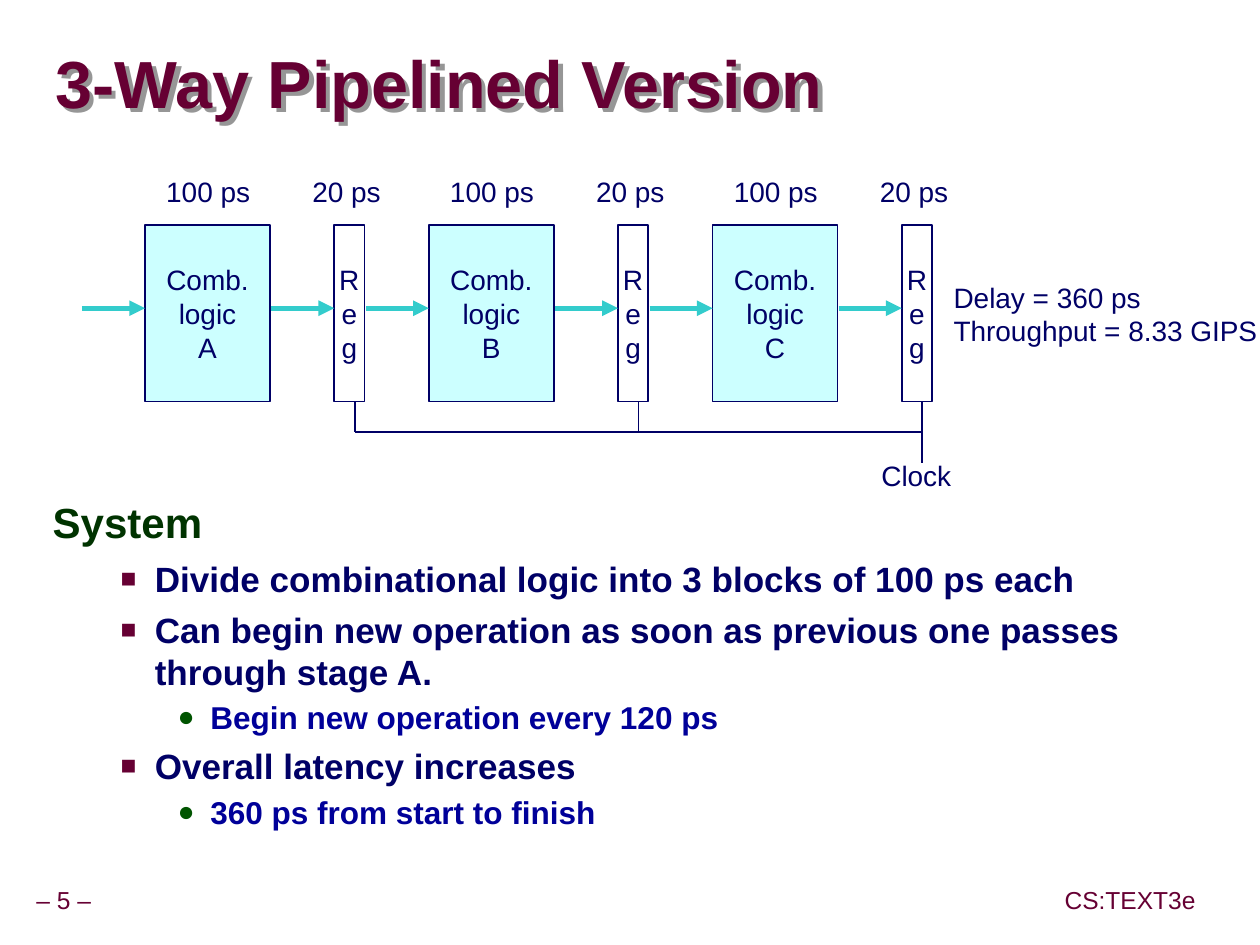
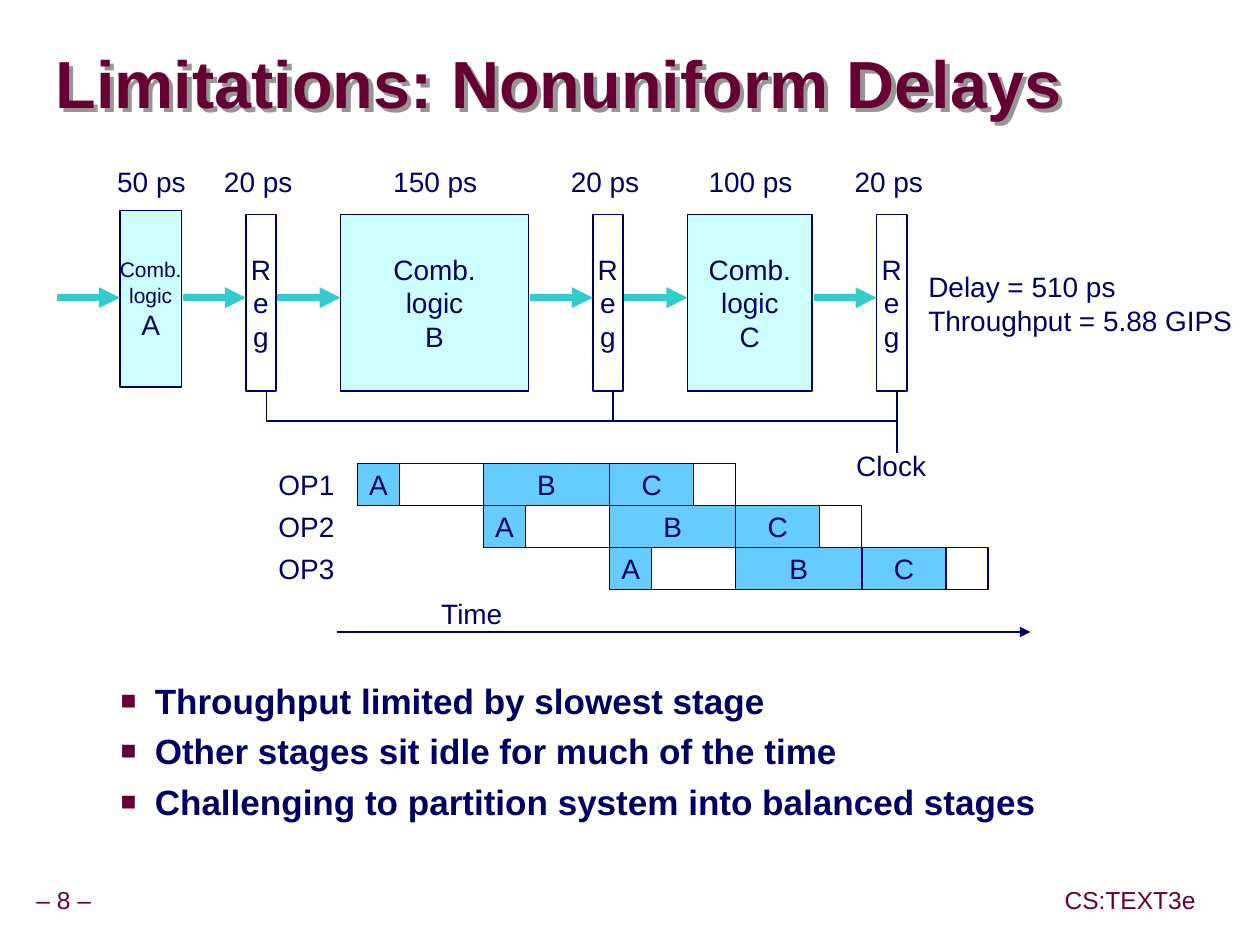
"""Build two slides on pipelined logic: a three-way pipeline and its nonuniform variant."""
from lxml import etree
from pptx import Presentation
from pptx.dml.color import RGBColor
from pptx.enum.shapes import MSO_CONNECTOR as Connector, MSO_SHAPE as Shape
from pptx.enum.text import MSO_ANCHOR as Anchor, PP_ALIGN as Align
from pptx.oxml import parse_xml
from pptx.oxml.ns import nsdecls, qn
from pptx.util import Pt

FONT = "Arial"
COLORS = {
    "maroon": "660033", "navy": "000066", "blue": "000099", "forest": "003300",
    "green": "005400", "teal": "33CCCC", "cyan": "CCFFFF", "sky": "66CCFF",
    "white": "FFFFFF", "gray": "969696",
}
LEVELS = [
    {"size": 24, "color": "forest", "spacing": 0.95, "before": 12, "margin": 30.24, "hang": 30.24},
    {"size": 20, "color": "navy", "spacing": 1.0, "before": 5, "margin": 58.32, "hang": 19.44,
     "bullet": ("■", "maroon", 75)},
    {"size": 18, "color": "blue", "spacing": 1.07, "before": 1.8, "margin": 90, "hang": 18.72,
     "bullet": ("●", "green", 90)},
]
REGISTER_WIDTH, GAP, BOX_HEIGHT = 18, 36, 100.8
LABEL_WIDTH = 90
POINTS_PER_PS = 0.72
SLIDES = [
    {"title": "3-Way Pipelined Version", "number": 5, "left": 82.8, "top": 128.4, "arrow": 3,
     "delays": [100, 100, 100], "result": "Delay = 360 ps\nThroughput = 8.33 GIPS",
     "body_top": 282.2,
     "body": [(0, "System"),
              (1, "Divide combinational logic into 3 blocks of 100 ps each"),
              (1, "Can begin new operation as soon as previous one passes through stage A."),
              (2, "Begin new operation every 120 ps"),
              (1, "Overall latency increases"),
              (2, "360 ps from start to finish")]},
    {"title": "Limitations: Nonuniform Delays", "number": 8, "left": 68.4, "top": 122.4, "arrow": 4,
     "delays": [50, 150, 100], "result": "Delay = 510 ps\nThroughput = 5.88 GIPS",
     "body_top": 384,
     "body": [(1, "Throughput limited by slowest stage"),
              (1, "Other stages sit idle for much of the time"),
              (1, "Challenging to partition system into balanced stages")]},
]


def add_box(slide, left, top, width, height, text="", fill=None, line=None,
            size=16, color="navy", align=Align.CENTER):
    """Add a text box, or a rectangle when a fill or line is given."""
    place = Pt(left), Pt(top), Pt(width), Pt(height)
    if fill or line:
        box = slide.shapes.add_shape(Shape.RECTANGLE, *place)
        box.shadow.inherit = False
        box.line.color.rgb = RGBColor.from_string(COLORS["navy"])
        box.line.width = Pt(line)
    else:
        box = slide.shapes.add_textbox(*place)
    if fill:
        box.fill.solid()
        box.fill.fore_color.rgb = RGBColor.from_string(COLORS[fill])
    else:
        box.fill.background()
    frame = box.text_frame
    frame.text = text
    frame.word_wrap = False
    frame.vertical_anchor = Anchor.MIDDLE
    for paragraph in frame.paragraphs:
        paragraph.alignment = align
        for run in paragraph.runs:
            run.font.name = FONT
            run.font.size = Pt(size)
            run.font.color.rgb = RGBColor.from_string(COLORS[color])
    return box


def add_line(slide, start_x, start_y, end_x, end_y, color="navy", width=1, arrow=False):
    """Add a straight line, with an arrowhead at its end if asked."""
    connector = slide.shapes.add_connector(
        Connector.STRAIGHT, Pt(start_x), Pt(start_y), Pt(end_x), Pt(end_y))
    connector.line.color.rgb = RGBColor.from_string(COLORS[color])
    connector.line.width = Pt(width)
    if arrow:
        etree.SubElement(connector.line._get_or_add_ln(), qn("a:tailEnd"), type="triangle")
    etree.SubElement(connector._element.spPr, qn("a:effectLst"))


presentation = Presentation()
presentation.slide_width, presentation.slide_height = Pt(719.28), Pt(539.28)

for content in SLIDES:
    slide = presentation.slides.add_slide(presentation.slide_layouts[5])
    title = slide.shapes.title
    title.left, title.top, title.width, title.height = Pt(31.7), Pt(19.4), Pt(685.4), Pt(61.2)
    title.fill.background()
    title._element.spPr.append(parse_xml(
        f'<a:effectLst {nsdecls("a")}><a:outerShdw dist="{Pt(3.6)}" dir="2700000" algn="ctr" '
        f'rotWithShape="0"><a:srgbClr val="{COLORS["gray"]}"/></a:outerShdw></a:effectLst>'))
    frame = title.text_frame
    frame.text = content["title"]
    frame.vertical_anchor = Anchor.MIDDLE
    frame.margin_left = frame.margin_right = frame.margin_top = frame.margin_bottom = 0
    paragraph = frame.paragraphs[0]
    paragraph.alignment = Align.LEFT
    paragraph.line_spacing = 0.87
    font = paragraph.runs[0].font
    font.name, font.size, font.bold = FONT, Pt(38), True
    font.color.rgb = RGBColor.from_string(COLORS["maroon"])

    for center, text in ((36.4, f"– {content['number']} –"), (645.2, "CS:TEXT3e")):
        add_box(slide, center - 50, 502, 100, 23, text, size=14, color="maroon")

    body = add_box(slide, 23, content["body_top"], 653, 122.4,
                   "\n".join(text for level, text in content["body"]), align=Align.LEFT)
    body.text_frame.word_wrap = True
    body.text_frame.vertical_anchor = Anchor.TOP
    for paragraph, (level, text) in zip(body.text_frame.paragraphs, content["body"]):
        style = LEVELS[level]
        paragraph.level = level
        paragraph.line_spacing = style["spacing"]
        paragraph.space_before = Pt(style["before"])
        font = paragraph.runs[0].font
        font.size, font.bold = Pt(style["size"]), True
        font.color.rgb = RGBColor.from_string(COLORS[style["color"]])
        properties = paragraph._p.get_or_add_pPr()
        properties.set("marL", str(Pt(style["margin"])))
        properties.set("indent", str(-Pt(style["hang"])))
        if "bullet" in style:
            symbol, color, percent = style["bullet"]
            bullet_color = etree.SubElement(properties, qn("a:buClr"))
            etree.SubElement(bullet_color, qn("a:srgbClr"), val=COLORS[color])
            etree.SubElement(properties, qn("a:buSzPct"), val=str(percent * 1000))
            etree.SubElement(properties, qn("a:buFont"), typeface=FONT)
            etree.SubElement(properties, qn("a:buChar"), char=symbol)

    left, top = content["left"], content["top"]
    arrow_y, bus_y = top + 47.5, top + 118
    clock_lines = []
    for stage, delay in zip("ABC", content["delays"]):
        narrow = delay < 100
        width = delay * POINTS_PER_PS
        logic = add_box(slide, left, top - 2.2 * narrow, width - 0.7, BOX_HEIGHT,
                        f"Comb.\nlogic\n{stage}", "cyan", 1)
        if narrow:
            for paragraph in logic.text_frame.paragraphs[:2]:
                paragraph.runs[0].font.size = Pt(12)
        register_left = left + width + GAP
        add_box(slide, register_left, top, REGISTER_WIDTH - 0.7, BOX_HEIGHT, "R\ne\ng", "white", 1)
        for center, label in ((left + width / 2, delay), (register_left + 7, 20)):
            add_box(slide, center - LABEL_WIDTH / 2, top - 32, LABEL_WIDTH, 25.9, f"{label} ps")
        for end in (left, register_left):
            add_line(slide, end - GAP, arrow_y, end, arrow_y, "teal", content["arrow"], True)
        clock_lines.append(register_left + 11.7)
        left = register_left + REGISTER_WIDTH + GAP

    for clock_x in clock_lines:
        bottom = bus_y + 18 * (clock_x == clock_lines[-1])
        add_line(slide, clock_x, top + BOX_HEIGHT, clock_x, bottom)
    add_line(slide, clock_lines[0], bus_y, clock_lines[-1], bus_y)
    add_box(slide, register_left + 8.3 - LABEL_WIDTH / 2, top + 130, LABEL_WIDTH, 25.9, "Clock")
    add_box(slide, register_left + 22.5, top + 28, 196.6, 45.4, content["result"], align=Align.LEFT)

SLOT, ROW_HEIGHT, CHART_LEFT, CHART_TOP = 72, 24, 204, 264.4
for row in range(3):
    row_top = CHART_TOP + row * ROW_HEIGHT
    add_box(slide, 131.8, row_top, 66.2, ROW_HEIGHT, f"OP{row + 1}", align=Align.RIGHT)
    for column, (stage, delay) in enumerate(zip("ABC", SLIDES[1]["delays"])):
        slot_left = CHART_LEFT + (row + column) * SLOT
        busy = SLOT * delay / max(SLIDES[1]["delays"])
        add_box(slide, slot_left, row_top, busy, ROW_HEIGHT, stage, "sky", 0.75)
        if busy < SLOT:
            add_box(slide, slot_left, row_top, SLOT, ROW_HEIGHT, line=0.75)
add_box(slide, 244.8, 337, LABEL_WIDTH, 25.9, "Time", align=Align.LEFT)
add_line(slide, 192.2, 360.7, 588.2, 360.7, arrow=True)

presentation.save("out.pptx")
